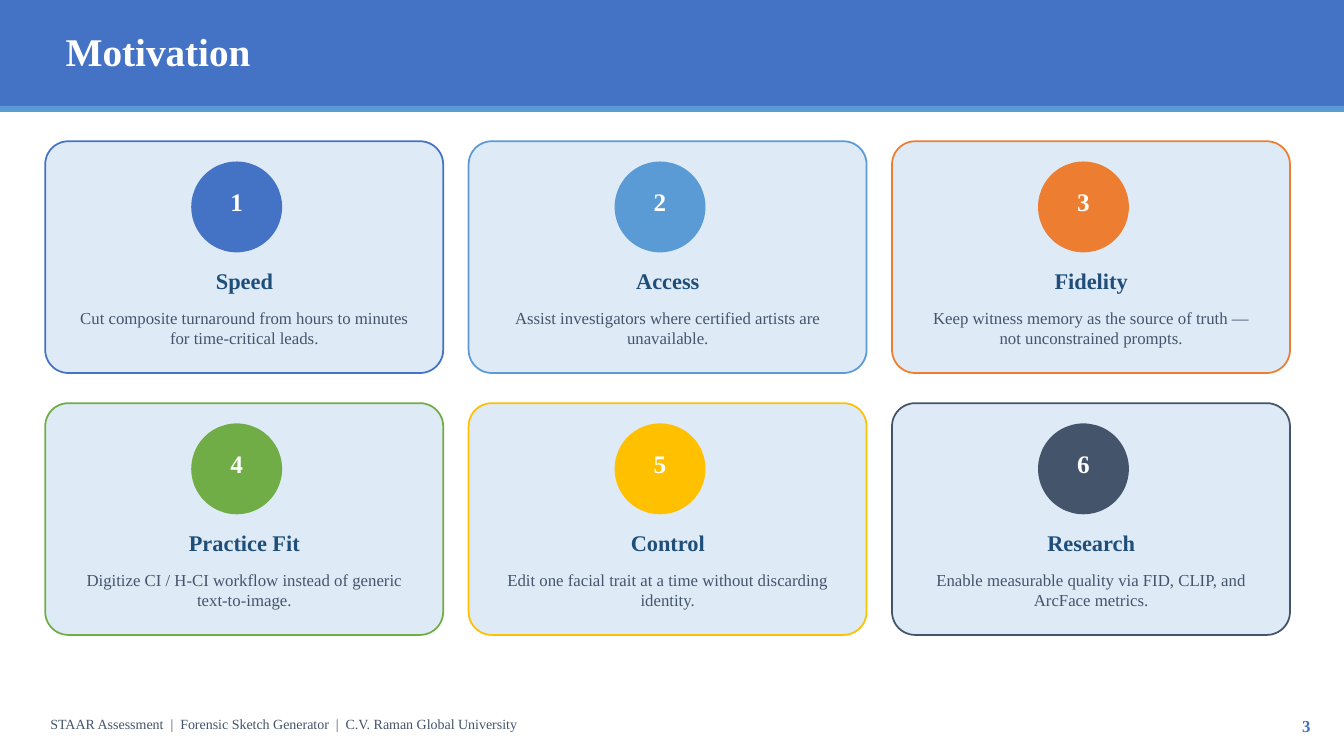
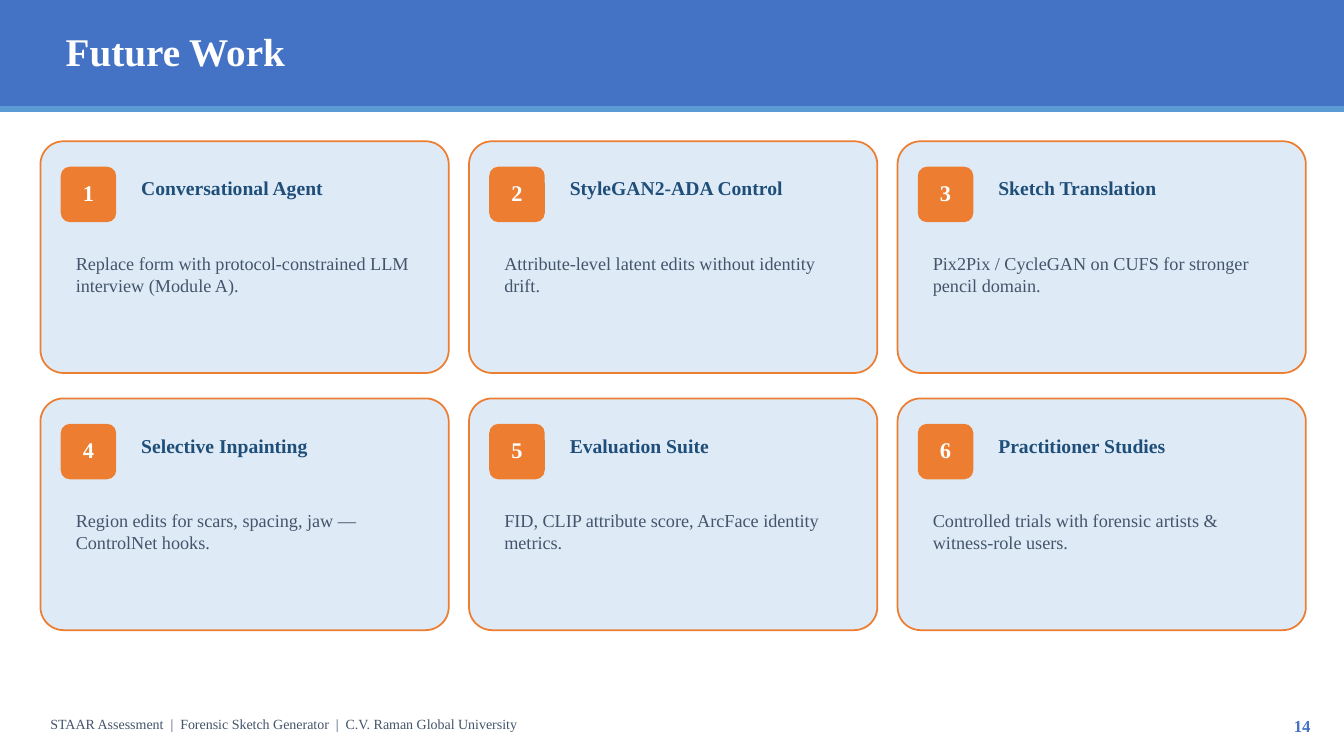
from dataclasses import dataclass
from typing import NamedTuple

from pptx import Presentation
from pptx.dml.color import RGBColor
from pptx.enum.shapes import MSO_SHAPE
from pptx.enum.text import MSO_ANCHOR, MSO_AUTO_SIZE, PP_ALIGN
from pptx.util import Cm, Pt

RECTANGLE = MSO_SHAPE.RECTANGLE
ROUNDED = MSO_SHAPE.ROUNDED_RECTANGLE
ELLIPSE = MSO_SHAPE.OVAL
LEFT, CENTER, RIGHT = PP_ALIGN.LEFT, PP_ALIGN.CENTER, PP_ALIGN.RIGHT
TOP = MSO_ANCHOR.TOP
NO_AUTOFIT = MSO_AUTO_SIZE.NONE

FONT = "Times New Roman"
WHITE, BLUE, SKY, ORANGE = "FFFFFF", "4472C4", "5B9BD5", "ED7D31"
GREEN, GOLD, SLATE = "70AD47", "FFC000", "44546A"
NAVY, PALE = "1F4E79", "DEEBF7"

SLIDE_WIDTH, SLIDE_HEIGHT = 33.87, 19.05
COLUMNS = 3
FOOTER = "STAAR Assessment  |  Forensic Sketch Generator  |  C.V. Raman Global University"


class Box(NamedTuple):
    left: float
    top: float
    width: float
    height: float

    def shifted(self, x: float, y: float) -> "Box":
        return Box(self.left + x, self.top + y, self.width, self.height)

    def lengths(self) -> list:
        return [Cm(value) for value in self]


class TextStyle(NamedTuple):
    size: float
    color: str
    bold: bool = False
    align: PP_ALIGN = LEFT


class Card(NamedTuple):
    heading: str
    body: str
    accent: str = ORANGE


@dataclass(frozen=True)
class CardDesign:
    first_card: Box
    column_step: float
    row_step: float
    badge: Box
    badge_kind: MSO_SHAPE
    number_inset: float
    number_style: TextStyle
    heading: Box
    heading_style: TextStyle
    body: Box
    body_style: TextStyle


@dataclass(frozen=True)
class CardSlide:
    title: str
    page: int
    design: CardDesign
    cards: list[Card]


TITLE_BAND = Box(0, 0, SLIDE_WIDTH, 2.67)
TITLE_STRIPE = Box(0, 2.67, SLIDE_WIDTH, 0.15)
TITLE = Box(1.4, 0.56, 29.21, 1.78)
FOOTER_NOTE = Box(1.02, 17.91, 25.4, 0.89)
PAGE_NUMBER = Box(30.99, 17.91, 2.29, 0.89)

TITLE_STYLE = TextStyle(28, WHITE, True)
FOOTER_STYLE = TextStyle(10, SLATE)
PAGE_STYLE = TextStyle(12, BLUE, True, RIGHT)

CENTERED_CARDS = CardDesign(
    first_card=Box(1.14, 3.56, 10.03, 5.84),
    column_step=10.67,
    row_step=6.6,
    badge=Box(3.68, 0.51, 2.29, 2.29),
    badge_kind=ELLIPSE,
    number_inset=0.3,
    number_style=TextStyle(18, WHITE, True, CENTER),
    heading=Box(0.51, 3.05, 9.02, 1.02),
    heading_style=TextStyle(16, NAVY, True, CENTER),
    body=Box(0.51, 4.06, 9.02, 1.4),
    body_style=TextStyle(12, SLATE, False, CENTER),
)
SIDE_BADGE_CARDS = CardDesign(
    first_card=Box(1.02, 3.56, 10.29, 5.84),
    column_step=10.8,
    row_step=6.48,
    badge=Box(0.51, 0.64, 1.4, 1.4),
    badge_kind=ROUNDED,
    number_inset=0.24,
    number_style=TextStyle(16, WHITE, True, CENTER),
    heading=Box(2.29, 0.76, 7.49, 1.27),
    heading_style=TextStyle(14, NAVY, True),
    body=Box(0.64, 2.67, 9.02, 2.54),
    body_style=TextStyle(13, SLATE),
)

SLIDES = [
    CardSlide("Motivation", 3, CENTERED_CARDS, [
        Card("Speed", "Cut composite turnaround from hours to minutes for time-critical leads.", BLUE),
        Card("Access", "Assist investigators where certified artists are unavailable.", SKY),
        Card("Fidelity", "Keep witness memory as the source of truth — not unconstrained prompts.", ORANGE),
        Card("Practice Fit", "Digitize CI / H-CI workflow instead of generic text-to-image.", GREEN),
        Card("Control", "Edit one facial trait at a time without discarding identity.", GOLD),
        Card("Research", "Enable measurable quality via FID, CLIP, and ArcFace metrics.", SLATE),
    ]),
    CardSlide("Future Work", 14, SIDE_BADGE_CARDS, [
        Card("Conversational Agent", "Replace form with protocol-constrained LLM interview (Module A)."),
        Card("StyleGAN2-ADA Control", "Attribute-level latent edits without identity drift."),
        Card("Sketch Translation", "Pix2Pix / CycleGAN on CUFS for stronger pencil domain."),
        Card("Selective Inpainting", "Region edits for scars, spacing, jaw — ControlNet hooks."),
        Card("Evaluation Suite", "FID, CLIP attribute score, ArcFace identity metrics."),
        Card("Practitioner Studies", "Controlled trials with forensic artists & witness-role users."),
    ]),
]


def rgb(color: str) -> RGBColor:
    return RGBColor.from_string(color)


def apply_format(target, values: dict) -> None:
    for name, value in values.items():
        setattr(target, name, value)


def write(shape, text: str, style: TextStyle) -> None:
    frame = shape.text_frame
    apply_format(frame, {"text": text, "word_wrap": True,
                         "auto_size": NO_AUTOFIT, "vertical_anchor": TOP})
    paragraph = frame.paragraphs[0]
    paragraph.alignment = style.align
    font = paragraph.runs[0].font
    apply_format(font, {"name": FONT, "size": Pt(style.size), "bold": style.bold})
    font.color.rgb = rgb(style.color)


def add_text(slide, box: Box, text: str, style: TextStyle) -> None:
    write(slide.shapes.add_textbox(*box.lengths()), text, style)


def add_panel(slide, kind: MSO_SHAPE, box: Box, fill: str, outline: str | None = None):
    panel = slide.shapes.add_shape(kind, *box.lengths())
    panel.shadow.inherit = False
    panel.fill.solid()
    panel.fill.fore_color.rgb = rgb(fill)
    if outline:
        panel.line.color.rgb = rgb(outline)
        panel.line.width = Pt(1.25)
    else:
        panel.line.fill.background()
    return panel


def add_frame(slide, title: str, page: int) -> None:
    add_panel(slide, RECTANGLE, TITLE_BAND, BLUE)
    stripe = add_panel(slide, RECTANGLE, TITLE_STRIPE, SKY)
    heading = slide.shapes.title
    apply_format(heading, dict(zip(("left", "top", "width", "height"), TITLE.lengths())))
    write(heading, title, TITLE_STYLE)
    stripe.element.addnext(heading.element)
    add_text(slide, FOOTER_NOTE, FOOTER, FOOTER_STYLE)
    add_text(slide, PAGE_NUMBER, str(page), PAGE_STYLE)


def add_card(slide, design: CardDesign, index: int, card: Card) -> None:
    row, column = divmod(index, COLUMNS)
    area = design.first_card.shifted(column * design.column_step, row * design.row_step)
    panel = add_panel(slide, ROUNDED, area, PALE, card.accent)
    panel.adjustments[0] = 0.1

    badge_box = design.badge.shifted(area.left, area.top)
    badge = add_panel(slide, design.badge_kind, badge_box, card.accent)
    write(badge, str(index + 1), design.number_style)
    apply_format(badge.text_frame, {"margin_top": Cm(design.number_inset), "margin_bottom": Cm(0),
                                    "margin_left": Cm(0), "margin_right": Cm(0)})

    add_text(slide, design.heading.shifted(area.left, area.top), card.heading, design.heading_style)
    add_text(slide, design.body.shifted(area.left, area.top), card.body, design.body_style)


def main() -> None:
    deck = Presentation()
    deck.slide_width, deck.slide_height = Cm(SLIDE_WIDTH), Cm(SLIDE_HEIGHT)
    title_only = deck.slide_layouts.get_by_name("Title Only")
    for content in SLIDES:
        slide = deck.slides.add_slide(title_only)
        add_frame(slide, content.title, content.page)
        for index, card in enumerate(content.cards):
            add_card(slide, content.design, index, card)
    deck.save("out.pptx")


if __name__ == "__main__":
    main()
